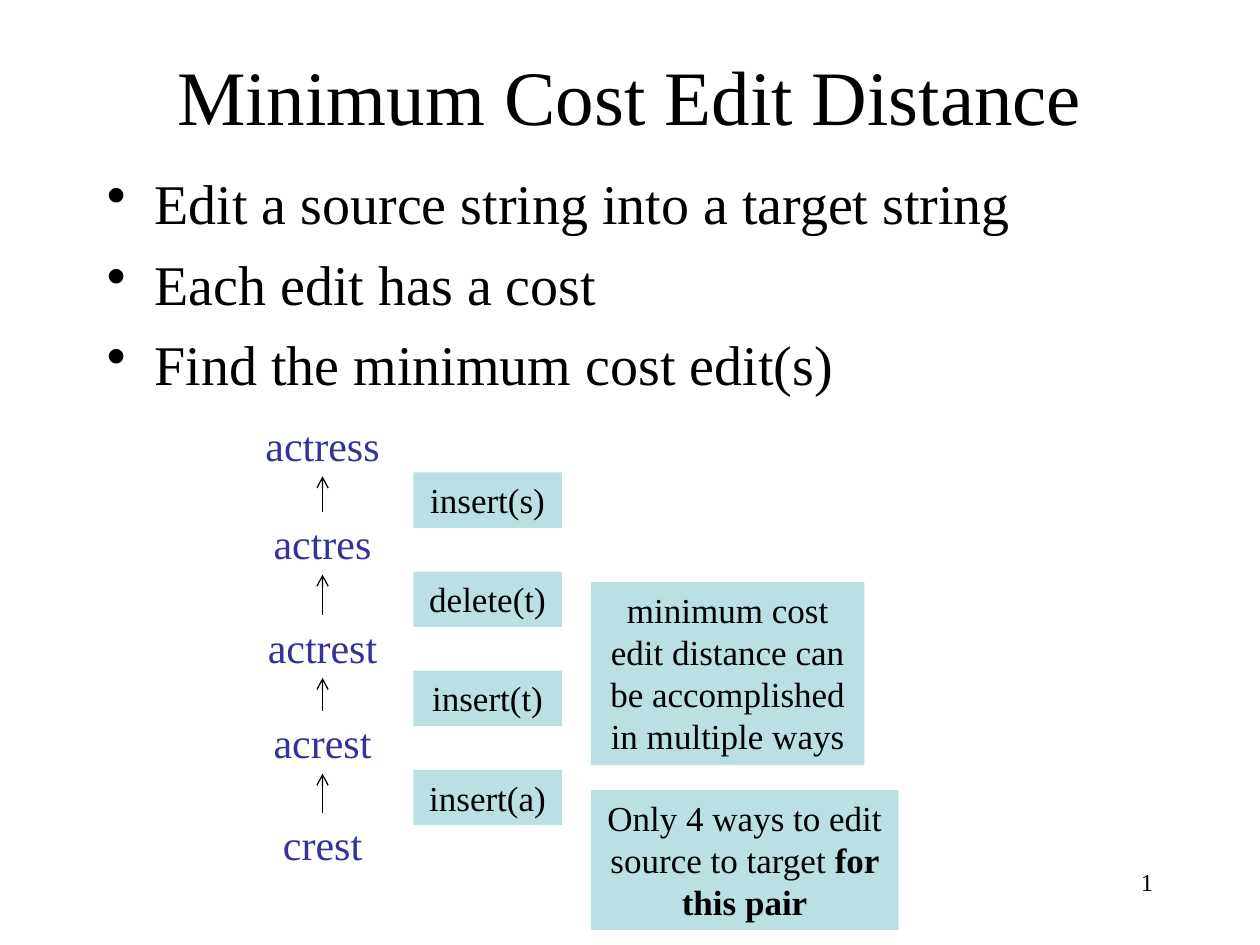
from pptx import Presentation
from pptx.dml.color import RGBColor
from pptx.enum.shapes import MSO_CONNECTOR, MSO_SHAPE
from pptx.enum.text import MSO_ANCHOR, MSO_AUTO_SIZE, PP_ALIGN
from pptx.oxml.ns import qn
from pptx.util import Inches, Pt
from lxml import etree

FONT = "Times New Roman"
BLACK = RGBColor(0x00, 0x00, 0x00)
INDIGO = RGBColor(0x33, 0x33, 0x99)
PALE_TEAL = RGBColor(0xBB, 0xE0, 0xE3)
LEFT, CENTER, RIGHT = PP_ALIGN.LEFT, PP_ALIGN.CENTER, PP_ALIGN.RIGHT
TOP, MIDDLE = MSO_ANCHOR.TOP, MSO_ANCHOR.MIDDLE
FIT_SHAPE = MSO_AUTO_SIZE.SHAPE_TO_FIT_TEXT
STRAIGHT = MSO_CONNECTOR.STRAIGHT
RECTANGLE = MSO_SHAPE.RECTANGLE
TOP_SIDE, BOTTOM_SIDE = 0, 2

BULLETS = [
    "Edit a source string into a target string",
    "Each edit has a cost",
    "Find the minimum cost edit(s)",
]
# Word, top and width, from the target down to the source
WORDS = [
    ("actress", 3.28, 1.12),
    ("actres", 4.06, 0.99),
    ("actrest", 4.88, 1.09),
    ("acrest", 5.64, 0.99),
    ("crest", 6.45, 0.85),
]
WORD_CENTER = 2.56
WORD_HEIGHT = 0.5
OPERATIONS = ["insert(s)", "delete(t)", "insert(t)", "insert(a)"]
OPERATION_TOP = 3.75
OPERATION_PITCH = 2.36 / 3


def write(paragraph, text, size=20, color=BLACK, align=LEFT, bold=False):
    """Add a run of text to the paragraph."""
    paragraph.alignment = align
    run = paragraph.add_run()
    run.text = text
    run.font.name = FONT
    run.font.size = Pt(size)
    run.font.color.rgb = color
    run.font.bold = bold


class SlideBuilder:
    def __init__(self, slide):
        self.slide = slide

    def text(self, text, left, top, width, height, anchor=TOP, wrap=True, **style):
        shape = self.slide.shapes.add_textbox(
            Inches(left), Inches(top), Inches(width), Inches(height))
        frame = shape.text_frame
        frame.word_wrap = wrap
        frame.vertical_anchor = anchor
        write(frame.paragraphs[0], text, **style)
        return shape

    def bullets(self, items, left, top, width, height):
        shape = self.slide.shapes.add_textbox(
            Inches(left), Inches(top), Inches(width), Inches(height))
        frame = shape.text_frame
        frame.word_wrap = True
        frame.margin_top = Inches(0.11)
        for index, item in enumerate(items):
            paragraph = frame.add_paragraph() if index else frame.paragraphs[0]
            properties = paragraph._p.get_or_add_pPr()
            properties.set("marL", str(Inches(0.38)))
            properties.set("indent", str(-Inches(0.38)))
            etree.SubElement(properties, qn("a:buChar")).set("char", "•")
            if index:
                paragraph.space_before = Pt(7.5)
            write(paragraph, item, size=32)

    def box(self, text, left, top, width, height, emphasis=""):
        """Add a filled box whose text may end in a bold part."""
        shape = self.slide.shapes.add_shape(
            RECTANGLE, Inches(left), Inches(top), Inches(width), Inches(height))
        shape.shadow.inherit = False
        shape.fill.solid()
        shape.fill.fore_color.rgb = PALE_TEAL
        shape.line.fill.background()
        frame = shape.text_frame
        frame.word_wrap = True
        frame.vertical_anchor = TOP
        frame.auto_size = FIT_SHAPE
        write(frame.paragraphs[0], text, align=CENTER)
        if emphasis:
            write(frame.paragraphs[0], emphasis, align=CENTER, bold=True)

    def arrow_up(self, lower, upper):
        connector = self.slide.shapes.add_connector(STRAIGHT, 0, 0, 0, 0)
        connector.begin_connect(lower, TOP_SIDE)
        connector.end_connect(upper, BOTTOM_SIDE)
        connector.line.color.rgb = BLACK
        connector.line.width = Pt(0.75)
        line = connector.line._get_or_add_ln()
        etree.SubElement(line, qn("a:tailEnd")).set("type", "arrow")
        etree.SubElement(connector._element.spPr, qn("a:effectLst"))


def main():
    presentation = Presentation()
    presentation.slide_width = Inches(10)
    presentation.slide_height = Inches(7.5)
    builder = SlideBuilder(presentation.slides.add_slide(presentation.slide_layouts[6]))

    builder.text("Minimum Cost Edit Distance", 0.75, 0.13, 8.5, 1.25,
                 anchor=MIDDLE, size=44, align=CENTER)
    builder.bullets(BULLETS, 0.75, 1.23, 8.5, 1.98)
    builder.text("1", 7.17, 6.83, 2.08, 0.5, size=14, align=RIGHT)

    upper = None
    for word, top, width in WORDS:
        label = builder.text(word, WORD_CENTER - width / 2, top, width, WORD_HEIGHT,
                             wrap=False, size=24, color=INDIGO, align=CENTER)
        if upper is not None:
            builder.arrow_up(label, upper)
        upper = label

    for index, operation in enumerate(OPERATIONS):
        builder.box(operation, 3.28, OPERATION_TOP + index * OPERATION_PITCH, 1.18, 0.44)
    builder.box("minimum cost edit distance can be accomplished in multiple ways",
                4.69, 4.62, 2.17, 1.45)
    builder.box("Only 4 ways to edit source to target ", 4.69, 6.27, 2.44, 1.11,
                emphasis="for this pair")

    presentation.save("out.pptx")


if __name__ == "__main__":
    main()
